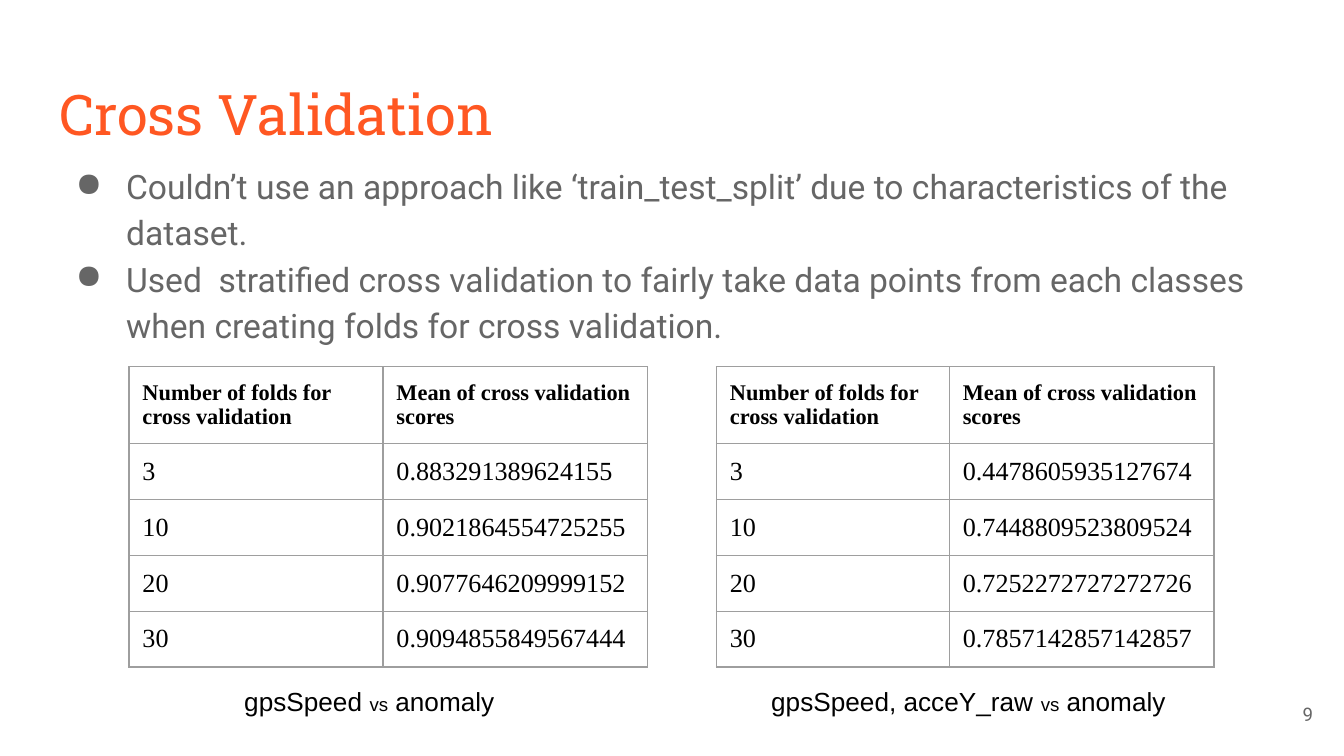
from lxml.etree import SubElement
from pptx import Presentation
from pptx.dml.color import RGBColor
from pptx.enum.text import MSO_ANCHOR as Anchor, MSO_AUTO_SIZE as AutoSize, PP_ALIGN as Align
from pptx.oxml.ns import qn
from pptx.util import Pt

ORANGE = RGBColor(0xFF, 0x57, 0x22)
GRAY = RGBColor(0x66, 0x66, 0x66)
BORDER = RGBColor(0x9E, 0x9E, 0x9E)
BLACK = RGBColor(0, 0, 0)

INSET = Pt(7.2)
TABLE_TOP = 196.4
SCORE_WIDTH = 141.8
HEADER_HEIGHT, ROW_HEIGHT = 41.3, 29.9
HEADERS = ("Number of folds for cross validation", "Mean of cross validation scores")
FOLDS = ("3", "10", "20", "30")
GPS_SCORES = ("0.883291389624155", "0.9021864554725255",
              "0.9077646209999152", "0.9094855849567444")
GPS_ACCE_SCORES = ("0.4478605935127674", "0.7448809523809524",
                   "0.7252272727272726", "0.7857142857142857")
BULLETS = (
    "Couldn’t use an approach like ‘train_test_split’ due to characteristics of the dataset.",
    "Used  stratified cross validation to fairly take data points from each classes "
    "when creating folds for cross validation.",
)


def set_values(target, values):
    for name, value in values.items():
        setattr(target, name, value)


def add_run(paragraph, text, font, size, color, bold=False):
    run = paragraph.add_run()
    run.text = text
    set_values(run.font, {"name": font, "size": Pt(size), "bold": bold})
    run.font.color.rgb = color


def format_frame(frame, anchor=Anchor.TOP):
    set_values(frame, {
        "word_wrap": True, "auto_size": AutoSize.NONE, "vertical_anchor": anchor,
        "margin_left": INSET, "margin_right": INSET,
        "margin_top": INSET, "margin_bottom": INSET,
    })


def add_text_box(slide, left, top, width, height, anchor=Anchor.TOP):
    shape = slide.shapes.add_textbox(Pt(left), Pt(top), Pt(width), Pt(height))
    format_frame(shape.text_frame, anchor)
    return shape.text_frame


def add_title(slide, text):
    shape = slide.shapes.title
    set_values(shape, {"left": Pt(24.5), "top": Pt(35.3),
                       "width": Pt(671), "height": Pt(45.4)})
    format_frame(shape.text_frame)
    paragraph = shape.text_frame.paragraphs[0]
    paragraph.alignment = Align.LEFT
    add_run(paragraph, text, "Roboto Slab", 30, ORANGE)


def add_bullets(slide, texts):
    frame = add_text_box(slide, 24.5, 78.5, 671, 110)
    for index, text in enumerate(texts):
        paragraph = frame.add_paragraph() if index else frame.paragraphs[0]
        paragraph.line_spacing = 1.15
        properties = paragraph._p.get_or_add_pPr()
        properties.set("marL", str(Pt(36)))
        properties.set("indent", str(Pt(-27)))
        bullet_color = SubElement(properties, qn("a:buClr"))
        SubElement(bullet_color, qn("a:srgbClr"), val=str(GRAY))
        SubElement(properties, qn("a:buChar"), char="●")
        add_run(paragraph, text, "Roboto", 18, GRAY)


def add_borders(cell):
    properties = cell._tc.get_or_add_tcPr()
    for index, side in enumerate(("lnL", "lnR", "lnT", "lnB")):
        line = properties.makeelement(qn(f"a:{side}"), {"w": str(Pt(0.75))})
        fill = SubElement(line, qn("a:solidFill"))
        SubElement(fill, qn("a:srgbClr"), val=str(BORDER))
        properties.insert(index, line)


def add_score_table(slide, left, fold_width, scores):
    rows = [HEADERS, *zip(FOLDS, scores)]
    heights = [HEADER_HEIGHT] + [ROW_HEIGHT] * len(scores)
    widths = (fold_width, SCORE_WIDTH)
    table = slide.shapes.add_table(len(rows), len(widths), Pt(left), Pt(TABLE_TOP),
                                   Pt(sum(widths)), Pt(sum(heights))).table
    set_values(table, {"first_row": False, "horz_banding": False})
    for column, width in zip(table.columns, widths):
        column.width = Pt(width)
    for row_index, (values, height) in enumerate(zip(rows, heights)):
        table.rows[row_index].height = Pt(height)
        is_header = row_index == 0
        for column_index, text in enumerate(values):
            cell = table.cell(row_index, column_index)
            set_values(cell, {"margin_left": INSET, "margin_right": INSET,
                              "margin_top": INSET, "margin_bottom": INSET})
            cell.fill.background()
            add_borders(cell)
            add_run(cell.text_frame.paragraphs[0], text, "Times New Roman",
                    12 if is_header else 14, BLACK, is_header)


def add_caption(slide, left, features):
    paragraph = add_text_box(slide, left, 360, 283, 26).paragraphs[0]
    for text, size in ((f"{features} ", 14), ("vs", 10), (" anomaly", 14)):
        add_run(paragraph, text, "Arial", size, BLACK)


def add_slide_number(slide, number):
    paragraph = add_text_box(slide, 667.4, 367.2, 43.2, 31, Anchor.MIDDLE).paragraphs[0]
    paragraph.alignment = Align.RIGHT
    add_run(paragraph, number, "Roboto", 10, GRAY)


def main():
    presentation = Presentation()
    set_values(presentation, {"slide_width": Pt(720), "slide_height": Pt(405)})
    slide = presentation.slides.add_slide(presentation.slide_layouts.get_by_name("Title Only"))
    add_title(slide, "Cross Validation")
    add_bullets(slide, BULLETS)
    add_slide_number(slide, "9")
    add_score_table(slide, 383.8, 124.8, GPS_ACCE_SCORES)
    add_score_table(slide, 69.1, 136.1, GPS_SCORES)
    add_caption(slide, 123.8, "gpsSpeed")
    add_caption(slide, 406.1, "gpsSpeed, acceY_raw")
    presentation.save("out.pptx")


if __name__ == "__main__":
    main()
